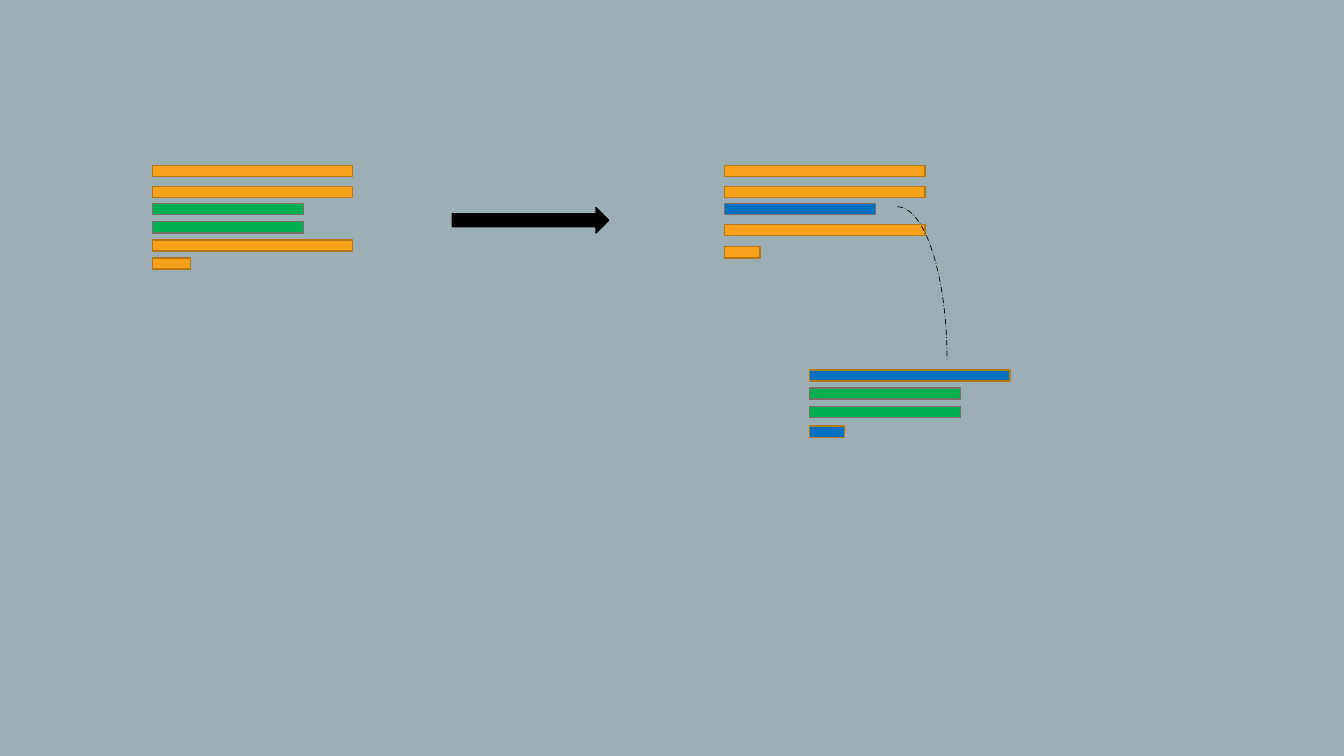
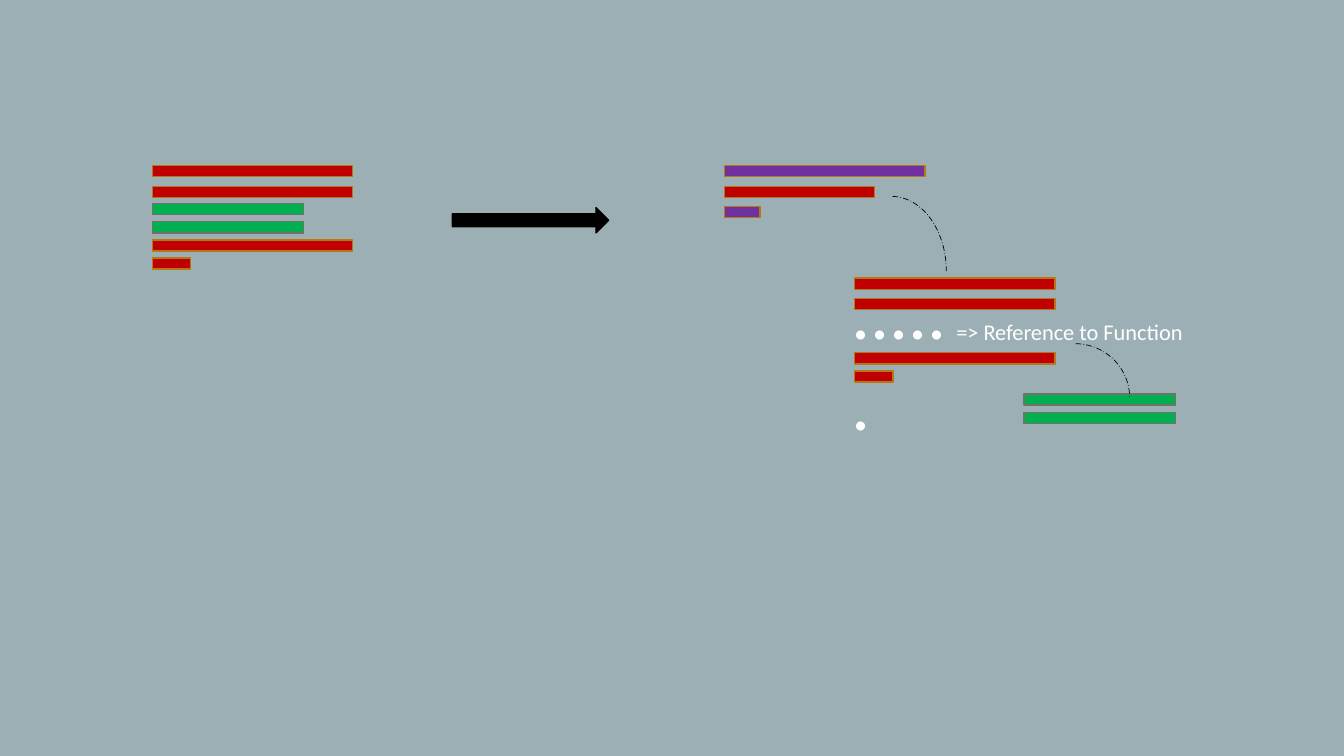
from dataclasses import dataclass

from pptx import Presentation
from pptx.dml.color import RGBColor
from pptx.enum.dml import MSO_LINE
from pptx.enum.shapes import MSO_SHAPE
from pptx.presentation import Presentation as Deck
from pptx.shapes.autoshape import Shape
from pptx.slide import Slide
from pptx.util import Cm, Pt

BACKGROUND = RGBColor(0x9B, 0xAF, 0xB5)
BLACK = RGBColor(0x00, 0x00, 0x00)
WHITE = RGBColor(0xFF, 0xFF, 0xFF)
ORANGE = RGBColor(0xF6, 0xA2, 0x1D)
RED = RGBColor(0xC0, 0x00, 0x00)
GREEN = RGBColor(0x00, 0xB0, 0x50)
BLUE = RGBColor(0x00, 0x70, 0xC0)
PURPLE = RGBColor(0x70, 0x30, 0xA0)
BROWN = RGBColor(0xB6, 0x78, 0x15)
GREY = RGBColor(0x76, 0x70, 0x68)

FONT = "Calibri"
BLANK_LAYOUT = 6
BAR_HEIGHT = 0.28
LONG, MEDIUM, SHORT, TINY = 5.05, 3.81, 0.97, 0.89
BEFORE_LEFT, AFTER_LEFT = 3.84, 18.26
FIRST_TOP, SECOND_TOP = 4.17, 4.7
LINE_STEP = 0.46


@dataclass(frozen=True)
class Box:
    """A frame in centimetres."""
    left: float
    top: float
    width: float
    height: float


@dataclass(frozen=True)
class CodeLine:
    """A bar that stands for one line of code; top and width in centimetres."""
    top: float
    width: float
    fill: RGBColor
    border: RGBColor = BROWN


ARROW = Box(11.4, 5.23, 3.94, 0.64)


def add_outlined_shape(slide: Slide, kind: MSO_SHAPE, box: Box, border: RGBColor,
                       fill: RGBColor | None = None, weight: float = 1) -> Shape:
    shape = slide.shapes.add_shape(
        kind, Cm(box.left), Cm(box.top), Cm(box.width), Cm(box.height))
    shape.shadow.inherit = False
    if fill is None:
        shape.fill.background()
    else:
        shape.fill.solid()
        shape.fill.fore_color.rgb = fill
    shape.line.color.rgb = border
    shape.line.width = Pt(weight)
    return shape


def add_code(slide: Slide, left: float, lines: list[CodeLine]) -> None:
    for line in lines:
        add_outlined_shape(slide, MSO_SHAPE.RECTANGLE,
                           Box(left, line.top, line.width, BAR_HEIGHT),
                           line.border, line.fill)


def add_reference_arc(slide: Slide, box: Box, start: float = 162) -> None:
    """Draw a dashed quarter arc; start is its angle in units of 1/0.6 degree."""
    arc = add_outlined_shape(slide, MSO_SHAPE.ARC, box, BLACK, weight=0.5)
    arc.adjustments[0] = start
    arc.line.dash_style = MSO_LINE.LONG_DASH_DOT


def add_text(slide: Slide, text: str, box: Box, *, size: float,
             color: RGBColor = WHITE, wrap: bool = False) -> None:
    text_box = slide.shapes.add_textbox(
        Cm(box.left), Cm(box.top), Cm(box.width), Cm(box.height))
    text_box.text_frame.word_wrap = wrap
    run = text_box.text_frame.paragraphs[0].add_run()
    run.text = text
    run.font.name = FONT
    run.font.size = Pt(size)
    run.font.color.rgb = color


def repeated_lines(top: float) -> list[CodeLine]:
    """The two green lines that are moved into a function of their own."""
    return [CodeLine(top + step * LINE_STEP, MEDIUM, GREEN, GREY) for step in range(2)]


def add_refactoring_slide(presentation: Deck, color: RGBColor) -> Slide:
    """Add a slide with the code before the change and the arrow to the result."""
    slide = presentation.slides.add_slide(presentation.slide_layouts[BLANK_LAYOUT])
    add_code(slide, BEFORE_LEFT, [
        CodeLine(FIRST_TOP, LONG, color),
        CodeLine(SECOND_TOP, LONG, color),
        *repeated_lines(5.13),
        CodeLine(6.05, LONG, color),
        CodeLine(6.5, SHORT, color),
    ])
    add_outlined_shape(slide, MSO_SHAPE.RIGHT_ARROW, ARROW, BLACK, BLACK)
    return slide


def build_extracted_function(presentation: Deck) -> None:
    slide = add_refactoring_slide(presentation, ORANGE)
    add_code(slide, AFTER_LEFT, [
        CodeLine(FIRST_TOP, LONG, ORANGE),
        CodeLine(SECOND_TOP, LONG, ORANGE),
        CodeLine(5.13, MEDIUM, BLUE, GREY),
        CodeLine(5.66, LONG, ORANGE),
        CodeLine(6.22, TINY, ORANGE),
    ])
    add_code(slide, 20.4, [
        *repeated_lines(9.78),
        CodeLine(9.32, LONG, BLUE),
        CodeLine(10.74, TINY, BLUE),
    ])
    add_reference_arc(slide, Box(21.36, 5.21, 2.51, 7.75))


def build_function_reference(presentation: Deck) -> None:
    slide = add_refactoring_slide(presentation, RED)
    add_code(slide, AFTER_LEFT, [
        CodeLine(FIRST_TOP, LONG, PURPLE),
        CodeLine(SECOND_TOP, 3.78, RED),
        CodeLine(5.21, TINY, PURPLE),
    ])
    add_reference_arc(slide, Box(21.08, 4.95, 2.77, 3.76), start=162.55)
    add_code(slide, 21.54, [
        CodeLine(7.01, LONG, RED),
        CodeLine(7.52, LONG, RED),
        CodeLine(8.89, LONG, RED),
        CodeLine(9.35, SHORT, RED),
    ])
    add_text(slide, "......", Box(21.21, 6.53, 3.05, 2.57), size=54, wrap=True)
    add_text(slide, "=> Reference to Function", Box(23.85, 7.9, 6.48, 0.94), size=16)
    add_code(slide, 25.81, repeated_lines(9.93))
    add_reference_arc(slide, Box(25.7, 8.66, 2.77, 2.72), start=162.55)


def main() -> None:
    presentation = Presentation()
    presentation.slide_width = Cm(33.87)
    presentation.slide_height = Cm(19.05)
    background = presentation.slide_master.background.fill
    background.solid()
    background.fore_color.rgb = BACKGROUND
    build_extracted_function(presentation)
    build_function_reference(presentation)
    presentation.save("out.pptx")


if __name__ == "__main__":
    main()
